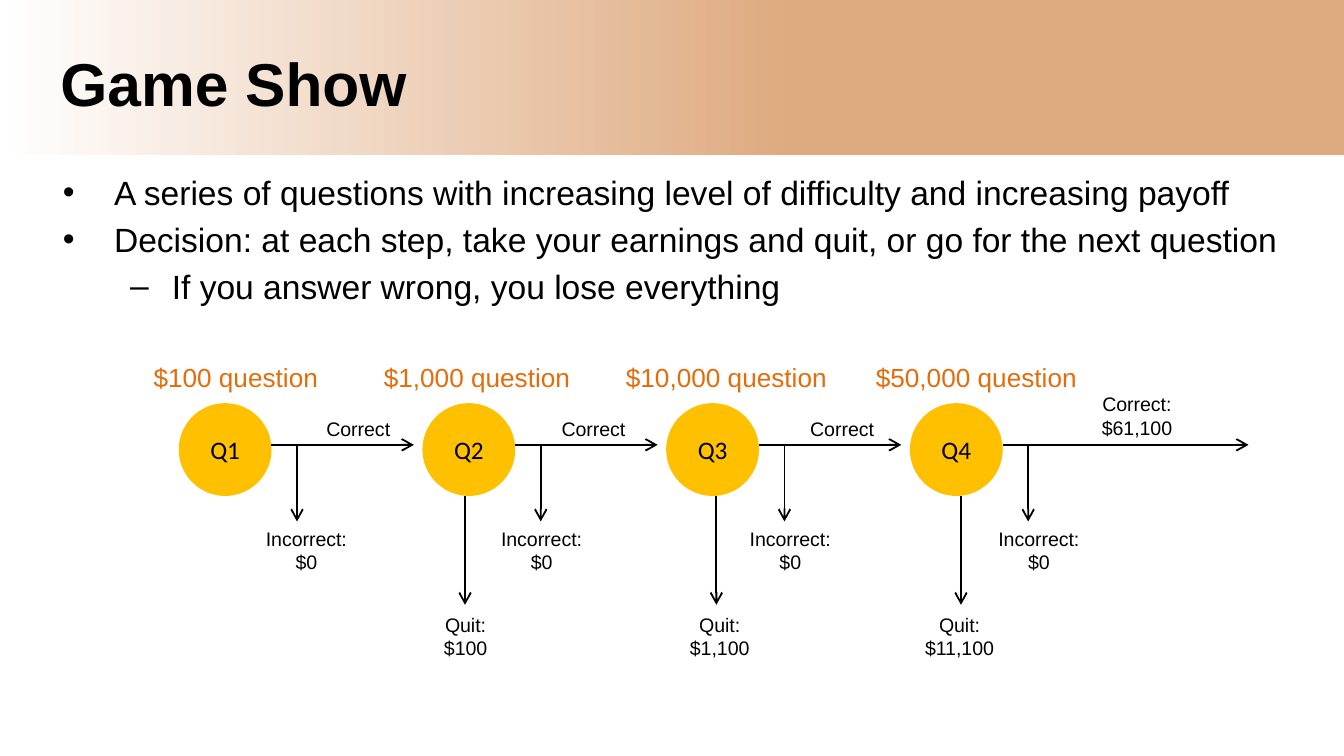
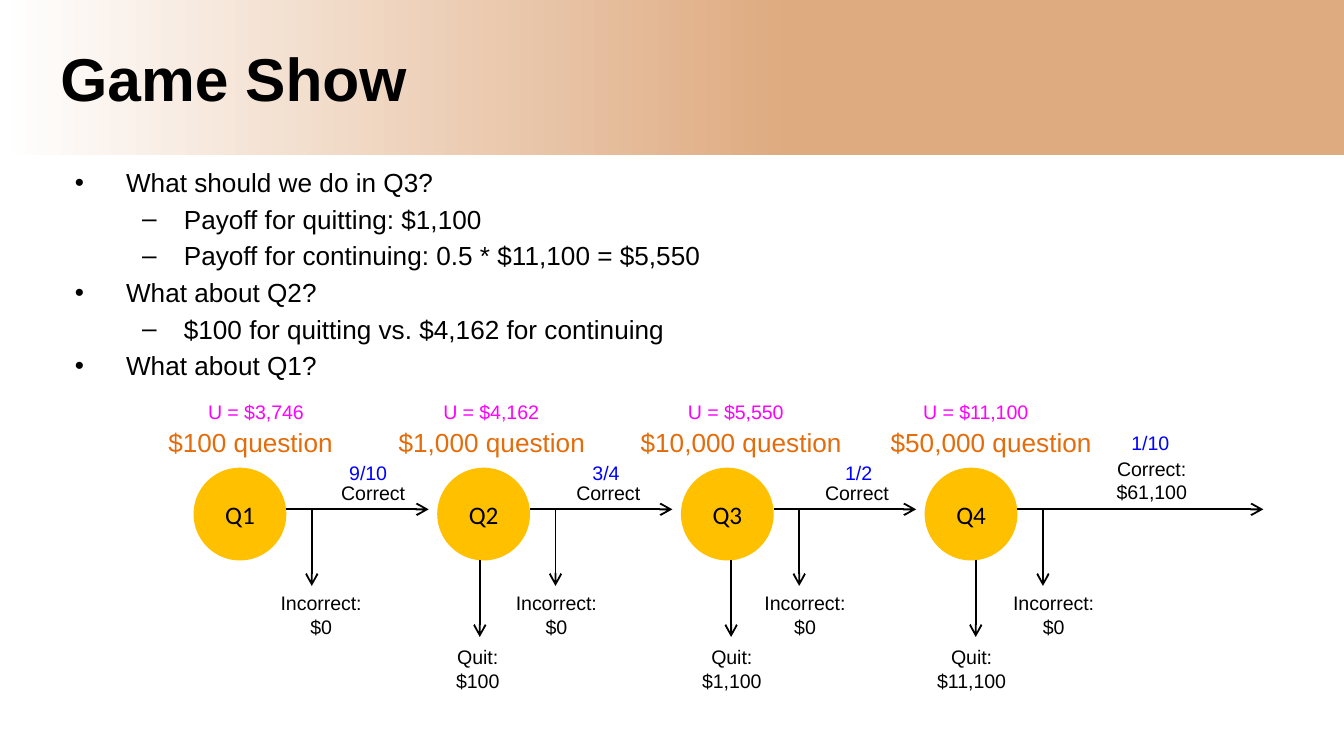
from lxml.etree import SubElement
from pptx import Presentation
from pptx.dml.color import RGBColor
from pptx.enum.shapes import MSO_CONNECTOR as Connector, MSO_SHAPE as Shape
from pptx.enum.text import MSO_ANCHOR as Anchor, MSO_AUTO_SIZE as AutoSize, PP_ALIGN as Align
from pptx.oxml.ns import qn
from pptx.util import Inches, Pt

COLORS = {
    "white": "FFFFFF", "band": "DEAA7F", "text": "000000", "node": "FFC000",
    "question": "E46C0A", "chance": "0000FF", "utility": "FF00FF",
}
# Bullet sign, left margin and hanging indent for each level
BULLETS = [("•", 0.38, -0.38), ("–", 0.81, -0.31)]


def add_text(shapes, text, at, shape=None, size=10.5, color="text", font="Arial", bold=False,
             align=Align.CENTER, anchor=Anchor.TOP, wrap=False, grow=True, levels=None):
    """Write lines of text into a shape, or into a new text box."""
    box = shape or shapes.add_textbox(0, 0, 0, 0)
    box.left, box.top, box.width, box.height = [Inches(length) for length in at]
    frame = box.text_frame
    frame.word_wrap = wrap
    frame.auto_size = AutoSize.SHAPE_TO_FIT_TEXT if grow else AutoSize.NONE
    frame.vertical_anchor = anchor
    for index, line in enumerate(text.split("\n")):
        para = frame.paragraphs[0] if index == 0 else frame.add_paragraph()
        para.alignment = align
        if levels:
            sign, margin, indent = BULLETS[levels[index]]
            para.level = levels[index]
            props = para._p.get_or_add_pPr()
            props.set("marL", str(Inches(margin)))
            props.set("indent", str(Inches(indent)))
            SubElement(props, qn("a:buFont")).set("typeface", font)
            SubElement(props, qn("a:buChar")).set("char", sign)
            if index:
                para.space_before = Pt(size / 5)
        span = para.add_run()
        span.text = line
        span.font.name, span.font.size, span.font.bold = font, Pt(size), bold
        span.font.color.rgb = RGBColor.from_string(COLORS[color])
    return box


def add_arrow(shapes, x1, y1, x2, y2):
    """Draw a thin black line with an open arrowhead at its end."""
    arrow = shapes.add_connector(Connector.STRAIGHT, Inches(x1), Inches(y1), Inches(x2), Inches(y2))
    arrow.line.width = Pt(1)
    arrow.line.color.rgb = RGBColor.from_string(COLORS["text"])
    props = arrow._element.spPr
    SubElement(props.find(qn("a:ln")), qn("a:tailEnd")).set("type", "arrow")
    SubElement(props, qn("a:effectLst"))


# What differs between the two slides
PAGES = [
    {
        "title_top": 0.29, "body_at": (0.37, 1.23, 9.38, 4.06), "body_size": 18,
        "bullets": [
            (0, "A series of questions with increasing level of difficulty and increasing payoff"),
            (0, "Decision: at each step, take your earnings and quit, or go for the next question"),
            (1, "If you answer wrong, you lose everything"),
        ],
        "left": 1.33, "top": 3, "quit_length": 0.81, "quit_shift": 0, "notes": [],
    },
    {
        "title_top": 0.25, "body_at": (0.46, 1.19, 9.2, 2), "body_size": 14,
        "bullets": [
            (0, "What should we do in Q3?"),
            (1, "Payoff for quitting: $1,100"),
            (1, "Payoff for continuing: 0.5 * $11,100 = $5,550"),
            (0, "What about Q2?"),
            (1, "$100 for quitting vs. $4,162 for continuing"),
            (0, "What about Q1?"),
        ],
        "left": 1.44, "top": 3.48, "quit_length": 0.57, "quit_shift": -0.02,
        "notes": [
            ("9/10", "chance", 2.5, 3.38, 0.49), ("3/4", "chance", 4.31, 3.38, 0.41),
            ("1/2", "chance", 6.19, 3.38, 0.41), ("1/10", "chance", 8.32, 3.16, 0.49),
            ("U = $11,100", "utility", 6.77, 2.93, 1.01), ("U = $5,550", "utility", 5.02, 2.93, 0.93),
            ("U = $4,162", "utility", 3.2, 2.93, 0.93), ("U = $3,746", "utility", 1.45, 2.93, 0.93),
        ],
    },
]

# Steps of the game; x positions are measured from the left edge of Q1
STEP, NODE = 5.44 / 3, 0.69
STEPS = [
    {"question": "$100", "question_x": -0.31, "question_width": 1.47, "wrong_x": 0.54, "quit": None},
    {"question": "$1,000", "question_x": 1.38, "question_width": 1.68, "wrong_x": 2.29,
     "quit": "$100", "quit_arrow_x": 2.13, "quit_x": 1.87, "quit_width": 0.53},
    {"question": "$10,000", "question_x": 3.17, "question_width": 1.81, "wrong_x": 4.14,
     "quit": "$1,100", "quit_arrow_x": 4, "quit_x": 3.7, "quit_width": 0.65},
    {"question": "$50,000", "question_x": 4.95, "question_width": 1.97, "wrong_x": 5.99,
     "quit": "$11,100", "quit_arrow_x": 5.82, "quit_x": 5.44, "quit_width": 0.74},
]

# Widescreen deck, 16 to 9
deck = Presentation()
deck.slide_width = Inches(10)
deck.slide_height = deck.slide_width * 9 // 16
layout = deck.slide_layouts[5]

for number, page in enumerate(PAGES):
    slide = deck.slides.add_slide(layout)

    # Gradient band, kept on the layout and shared by both slides
    if number == 0:
        band = slide.shapes.add_shape(Shape.RECTANGLE, 0, 0, Inches(10), Inches(1.15))
        band.shadow.inherit = False
        band.line.fill.background()
        band.fill.gradient()
        band.fill.gradient_angle = 0
        for stop, position, color in zip(band.fill.gradient_stops, (0, 0.59), ("white", "band")):
            stop.position = position
            stop.color.rgb = RGBColor.from_string(COLORS[color])
        layout.shapes._spTree.insert(2, band._element)

    # Title and bullets
    add_text(slide.shapes, "Game Show", (0.35, page["title_top"], 6.75, 0.65), shape=slide.shapes.title,
             size=32.4, bold=True, align=Align.LEFT, anchor=Anchor.MIDDLE, wrap=True, grow=False)
    levels, lines = zip(*page["bullets"])
    add_text(slide.shapes, "\n".join(lines), page["body_at"], size=page["body_size"],
             align=Align.LEFT, wrap=True, grow=False, levels=levels)

    # Chances and expected utilities
    for text, color, x, y, width in page["notes"]:
        add_text(slide.shapes, text, (x, y, width, 0.28), color=color, align=Align.LEFT)

    # Decision diagram
    shapes = slide.shapes.add_group_shape().shapes
    left, top = page["left"], page["top"]
    axis = top + 0.31
    for index, step in enumerate(STEPS):
        x = left + index * STEP
        is_last = index == len(STEPS) - 1

        # Question node with its arrows
        node = shapes.add_shape(Shape.OVAL, 0, 0, 0, 0)
        node.shadow.inherit = False
        node.fill.solid()
        node.fill.fore_color.rgb = RGBColor.from_string(COLORS["node"])
        node.line.fill.background()
        add_text(shapes, f"Q{index + 1}", (x, top, NODE, NODE), shape=node, size=13.5,
                 font="Calibri", anchor=Anchor.MIDDLE, wrap=True, grow=False)
        add_arrow(shapes, x + NODE, axis, x + (2.52 if is_last else 1.75), axis)
        add_arrow(shapes, x + 0.88, axis, x + 0.88, axis + 0.57)

        # Labels for the question and both answers
        add_text(shapes, f"{step['question']} question",
                 (left + step["question_x"], top - 0.36, step["question_width"], 0.34),
                 size=14, color="question", wrap=True)
        wrong_x = left + step["wrong_x"]
        add_text(shapes, "Incorrect:\n$0", (wrong_x, top + 0.87, 0.82, 0.45))
        if is_last:
            add_text(shapes, "Correct:\n$61,100", (left + 6.36, top - 0.13, 1.54, 0.45), wrap=True)
        else:
            add_text(shapes, "Correct", (wrong_x + 0.46, top + 0.05, 0.69, 0.28), align=Align.LEFT)

        # Quitting with the earnings so far
        if step["quit"]:
            quit_x, quit_end = left + step["quit_arrow_x"], top + NODE + page["quit_length"]
            add_arrow(shapes, quit_x, top + NODE, quit_x, quit_end)
            add_text(shapes, f"Quit:\n{step['quit']}",
                     (left + step["quit_x"] + page["quit_shift"], quit_end + 0.01,
                      step["quit_width"], 0.45))

deck.save("out.pptx")
